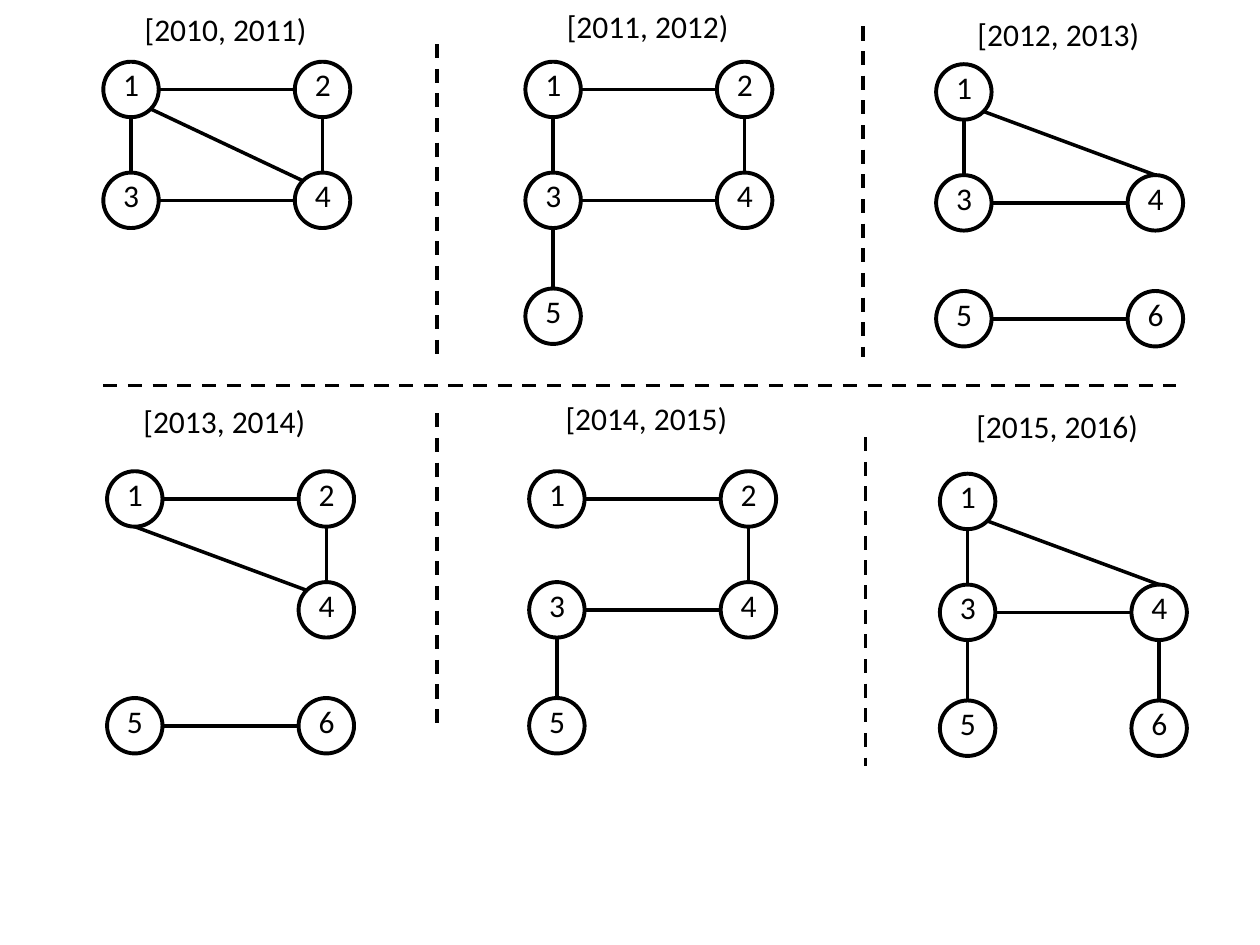
from dataclasses import dataclass

from lxml import etree
from pptx import Presentation
from pptx import util as u
from pptx.dml.color import RGBColor
from pptx.enum import dml, shapes, text
from pptx.oxml import ns

COLORS = {"ink": "000000"}
FONT = "Calibri"
NODE = 0.44                 # node diameter
COL_PITCH = 1.52            # between the two node columns
ROW_TOPS = (0, 0.88, 1.8)   # tops of the three node rows
SITES = {"top": (0.5, 0), "bottom": (0.5, 1), "left": (0, 0.5),
         "right": (1, 0.5), "upper left": (0.15, 0.15),
         "lower right": (0.85, 0.85)}


@dataclass(frozen=True)
class Snapshot:
    """One interval: its label, node grid, edges and diagonal end sites."""
    label: str
    label_at: tuple[float, float]
    origin: tuple[float, float]
    nodes: str
    edges: str
    diagonal: tuple[str, str] = ("lower right", "upper left")


@dataclass(frozen=True)
class Divider:
    """A dashed line between snapshots."""
    start: tuple[float, float]
    end: tuple[float, float]


SNAPSHOTS = (
    Snapshot("[2010, 2011)", (1.05, 0.03), (0.82, 0.49), "1234",
             "12 13 14 24 34"),
    Snapshot("[2011, 2012)", (4.40, 0.01), (4.17, 0.49), "12345",
             "12 13 24 34 35"),
    Snapshot("[2012, 2013)", (7.66, 0.07), (7.43, 0.51), "13456",
             "13 14 34 56", ("lower right", "top")),
    Snapshot("[2013, 2014)", (1.04, 3.14), (0.85, 3.74), "12456",
             "12 14 24 56", ("bottom", "upper left")),
    Snapshot("[2014, 2015)", (4.39, 3.12), (4.20, 3.74), "12345",
             "12 24 34 35"),
    Snapshot("[2015, 2016)", (7.65, 3.18), (7.46, 3.76), "13456",
             "13 14 34 35 46", ("lower right", "top")),
)
DIVIDERS = (
    Divider((3.47, 0.35), (3.47, 2.83)),
    Divider((6.85, 0.21), (6.85, 2.83)),
    Divider((0.82, 3.06), (9.33, 3.06)),
    Divider((3.47, 3.28), (3.47, 5.76)),
    Divider((6.87, 3.47), (6.87, 6.08)),
)


def add_text(parent, content: str, left: float, top: float, width: float, *,
             height: float = 0.4, size: float = 18, wrap: bool = True,
             color: str = "ink") -> None:
    """Add a one-line text box."""
    sp = parent.add_textbox(*map(u.Inches, (left, top, width, height)))
    tf = sp.text_frame
    tf.word_wrap = wrap
    tf.auto_size = text.MSO_AUTO_SIZE.SHAPE_TO_FIT_TEXT
    r = tf.paragraphs[0].add_run()
    r.text = content
    r.font.name, r.font.size = FONT, u.Pt(size)
    r.font.color.rgb = RGBColor.from_string(COLORS[color])


def style_line(line, width: float) -> None:
    """Give a line its colour and width in points."""
    line.color.rgb = RGBColor.from_string(COLORS["ink"])
    line.width = u.Pt(width)


def add_line(parent, start: tuple[float, float], end: tuple[float, float],
             dashed: bool = False) -> None:
    """Add a straight line without shadow."""
    line = parent.add_connector(shapes.MSO_CONNECTOR.STRAIGHT,
                                *map(u.Inches, (*start, *end)))
    style_line(line.line, 2)
    if dashed:
        line.line.dash_style = dml.MSO_LINE.DASH
    etree.SubElement(line._element.spPr, ns.qn("a:effectLst"))


def grid_cell(node: str) -> tuple[int, int]:
    """Return the row and column of a numbered node."""
    return divmod(int(node) - 1, 2)


def node_corner(snap: Snapshot, node: str) -> tuple[float, float]:
    """Return the left and top of a node."""
    row, col = grid_cell(node)
    return snap.origin[0] + col * COL_PITCH, snap.origin[1] + ROW_TOPS[row]


def add_node(parent, snap: Snapshot, node: str) -> None:
    """Add a numbered circle."""
    left, top = node_corner(snap, node)
    add_text(parent, node, left + 0.06, top - 0.02, 0.3)
    sp = parent.add_shape(shapes.MSO_SHAPE.OVAL,
                          *map(u.Inches, (left, top, NODE, NODE)))
    sp.shadow.inherit = False
    sp.fill.background()
    style_line(sp.line, 2.25)


def add_edge(parent, snap: Snapshot, a: str, b: str) -> None:
    """Join two nodes at the sites that face each other."""
    (row_a, col_a), (row_b, col_b) = grid_cell(a), grid_cell(b)
    if row_a == row_b:
        sites = ("right", "left")
    elif col_a == col_b:
        sites = ("bottom", "top")
    else:
        sites = snap.diagonal
    ends = []
    for node, site in zip((a, b), sites):
        left, top = node_corner(snap, node)
        dx, dy = SITES[site]
        ends.append((left + dx * NODE, top + dy * NODE))
    add_line(parent, *ends)


def add_snapshot(slide, snap: Snapshot) -> None:
    """Add the label and the grouped graph of one interval."""
    add_text(slide.shapes, snap.label, *snap.label_at, 1.5, wrap=False)
    graph = slide.shapes.add_group_shape().shapes
    for node in snap.nodes:
        add_node(graph, snap, node)
    for a, b in snap.edges.split():
        add_edge(graph, snap, a, b)


def main() -> None:
    """Build and save the slide."""
    prs = Presentation()
    prs.slide_width, prs.slide_height = u.Inches(10), u.Inches(7.5)
    slide = prs.slides.add_slide(prs.slide_layouts[6])
    for snap in SNAPSHOTS:
        add_snapshot(slide, snap)
    for divider in DIVIDERS:
        add_line(slide.shapes, divider.start, divider.end, dashed=True)
    prs.save("out.pptx")


main()
